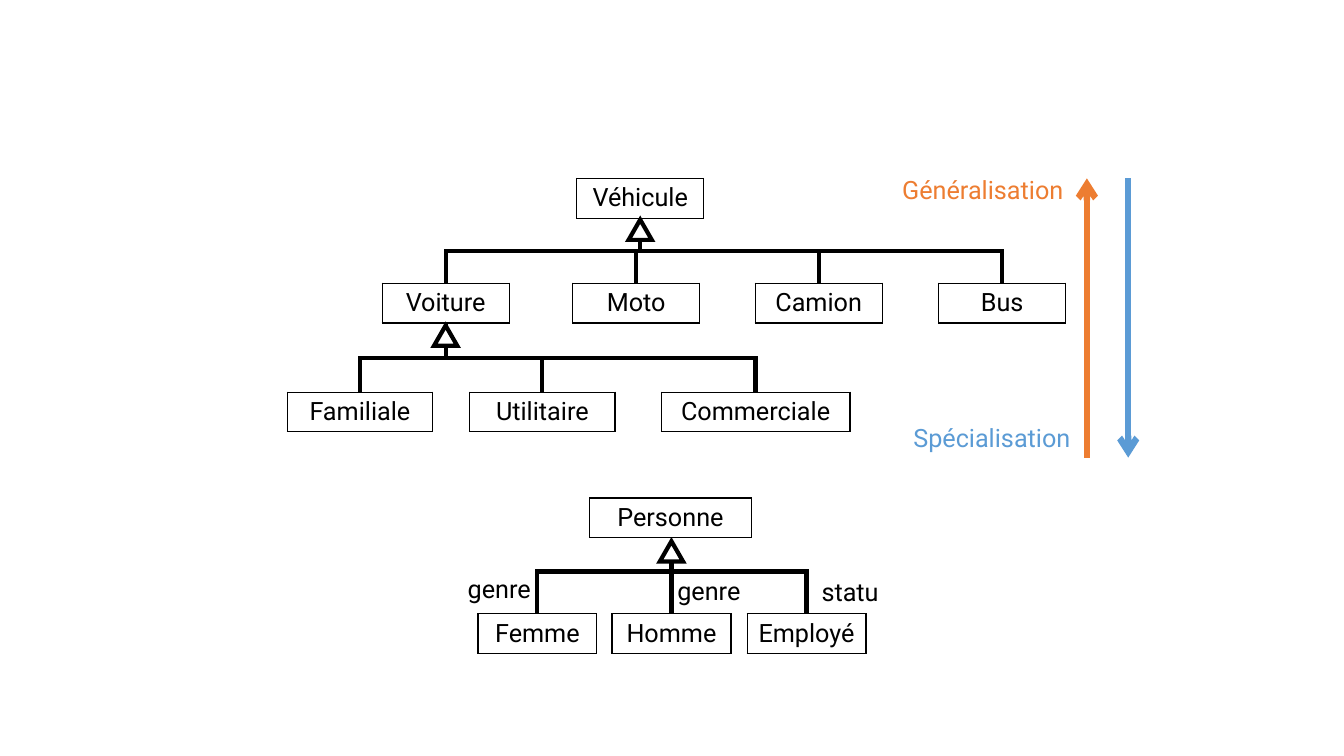
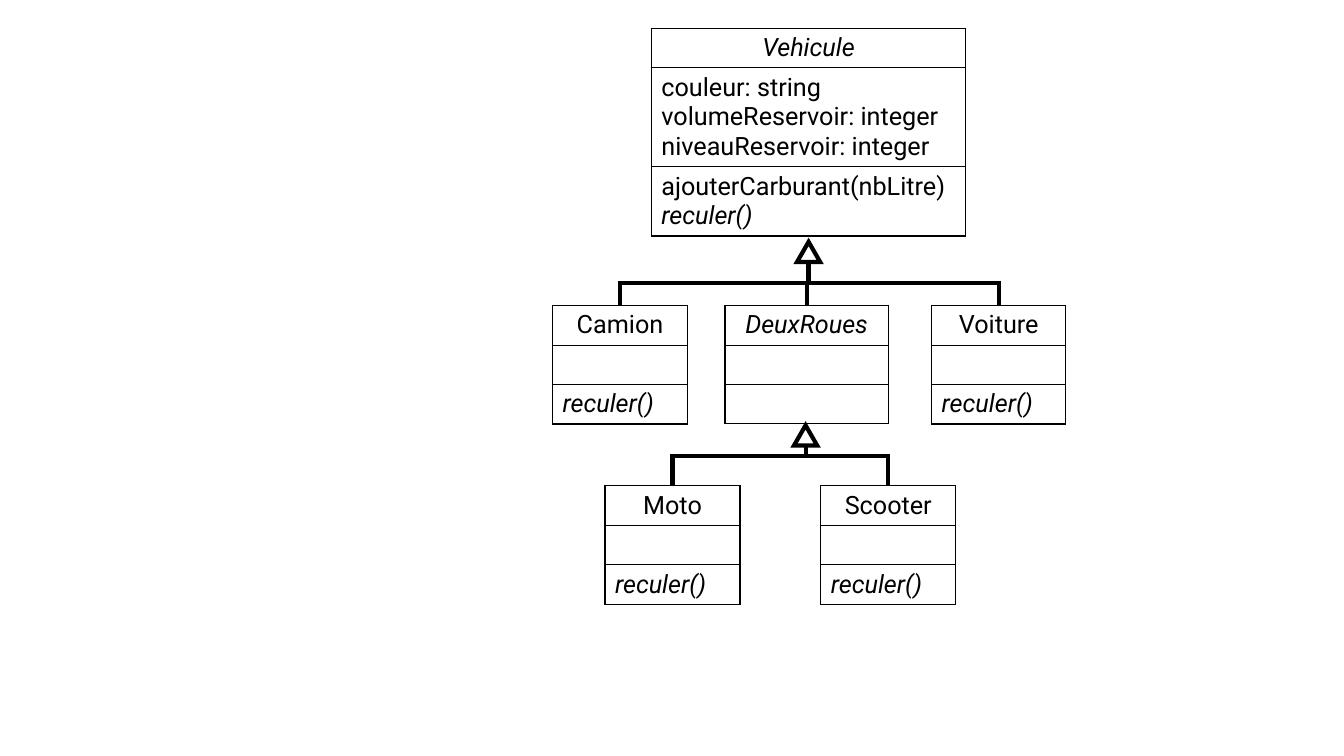
"""Build two slides of UML inheritance diagrams."""
from lxml import etree
from pptx import Presentation
from pptx.dml.color import RGBColor
from pptx.enum.shapes import MSO_CONNECTOR, MSO_SHAPE
from pptx.enum.text import MSO_AUTO_SIZE, PP_ALIGN
from pptx.oxml.ns import qn
from pptx.util import Inches, Pt

ELBOW, STRAIGHT = MSO_CONNECTOR.ELBOW, MSO_CONNECTOR.STRAIGHT
TRIANGLE = MSO_SHAPE.ISOSCELES_TRIANGLE
CENTER, LEFT = PP_ALIGN.CENTER, PP_ALIGN.LEFT
FIT_SHAPE = MSO_AUTO_SIZE.SHAPE_TO_FIT_TEXT
FONT = "Roboto"
BLACK, WHITE, ORANGE, BLUE = "000000", "FFFFFF", "ED7D31", "5B9BD5"
ABSTRACT = {"Vehicule", "DeuxRoues", "reculer()"}
TRIANGLE_WIDTH, TRIANGLE_HEIGHT = 0.23, 0.2


def add_text(paragraph, text, color):
    run = paragraph.add_run()
    run.text = text
    run.font.name = FONT
    run.font.size = Pt(18)
    run.font.italic = text in ABSTRACT
    run.font.color.rgb = RGBColor.from_string(color)


def style_line(shape, color, points):
    shape.line.color.rgb = RGBColor.from_string(color)
    shape.line.width = Pt(points)
    properties = shape._element.spPr
    line = properties.find(qn("a:ln"))
    etree.SubElement(line, qn("a:miter"), lim="800000")
    etree.SubElement(properties, qn("a:effectLst"))
    return line


vehicle = [["Vehicule"],
           ["couleur: string", "volumeReservoir: integer", "niveauReservoir: integer"],
           ["ajouterCarburant(nbLitre)", "reculer()"]]

# Roots: left, top, width, rows. Trees: root x, start, bar, triangle top, child top, children.
diagrams = [
    {"roots": [(5.72, 1.77, 1.26, [["Véhicule"]]), (5.85, 4.94, 1.6, [["Personne"]])],
     "trees": [
         (6.35, 2.17, 2.49, 2.18, 2.81,
          [(3.79, 1.26, [["Voiture"]]), (5.68, 1.26, [["Moto"]]),
           (7.49, 1.26, [["Camion"]]), (9.31, 1.26, [["Bus"]])]),
         (4.42, 3.21, 3.55, 3.23, 3.89,
          [(2.85, 1.44, [["Familiale"]]), (4.66, 1.44, [["Utilitaire"]]),
           (6.56, 1.87, [["Commerciale"]])]),
         (6.66, 5.56, 5.67, 5.37, 6.09,
          [(4.74, 1.18, [["Femme"]]), (6.07, 1.18, [["Homme"]]),
           (7.41, 1.18, [["Employé"]])])],
     "arrows": [(10.78, 4.54, 1.77, ORANGE), (11.19, 1.77, 4.54, BLUE)],
     "labels": [(8.96, 4.14, 1.82, "Spécialisation", BLUE),
                (8.85, 1.68, 1.86, "Généralisation", ORANGE),
                (4.54, 5.64, 0.84, "genre", BLACK), (6.62, 5.66, 0.84, "genre", BLACK),
                (8.05, 5.67, 0.78, "statu", BLACK)]},
    {"roots": [(6.46, 0.28, 3.12, vehicle)],
     "trees": [
         (8.02, 2.59, 2.81, 2.4, 3.03,
          [(5.48, 1.34, [["Camion"], [""], ["reculer()"]]),
           (7.19, 1.62, [["DeuxRoues"], [""], [""]]),
           (9.24, 1.33, [["Voiture"], [""], ["reculer()"]])]),
         (7.99, 4.23, 4.52, 4.22, 4.82,
          [(6, 1.34, [["Moto"], [""], ["reculer()"]]),
           (8.14, 1.34, [["Scooter"], [""], ["reculer()"]])])],
     "arrows": [], "labels": []},
]

presentation = Presentation()
presentation.slide_width, presentation.slide_height = Inches(13.33), Inches(7.5)

for diagram in diagrams:
    slide = presentation.slides.add_slide(presentation.slide_layouts[6])

    classes = list(diagram["roots"])
    for _, _, _, _, child_top, children in diagram["trees"]:
        classes += [(left, child_top, width, rows) for left, width, rows in children]
    for left, top, width, rows in classes:
        heights = [0.1 + 0.29 * len(lines) for lines in rows]
        table = slide.shapes.add_table(len(rows), 1, Inches(left), Inches(top),
                                       Inches(width), Inches(sum(heights))).table
        table.first_row = table.horz_banding = False
        for index, lines in enumerate(rows):
            table.rows[index].height = Inches(heights[index])
            cell = table.cell(index, 0)
            frame = cell.text_frame
            for number, text in enumerate(lines):
                paragraph = frame.add_paragraph() if number else frame.paragraphs[0]
                paragraph.alignment = LEFT if index else CENTER
                add_text(paragraph, text, BLACK)
            borders = cell._tc.get_or_add_tcPr()
            for side in ("a:lnL", "a:lnR", "a:lnT", "a:lnB"):
                border = etree.SubElement(borders, qn(side), w=str(Pt(1)))
                fill = etree.SubElement(border, qn("a:solidFill"))
                etree.SubElement(fill, qn("a:srgbClr"), val=BLACK)
            cell.fill.background()

    for root_x, start, bar, triangle_top, child_top, children in diagram["trees"]:
        drop = child_top - start
        middle_y = start + drop / 2
        for left, width, _ in children:
            shift = left + width / 2 - root_x
            middle_x = root_x + shift / 2
            half_run = drop / 2 if shift > 0 else -drop / 2
            half_rise = abs(shift) / 2
            branch = slide.shapes.add_connector(
                ELBOW, Inches(middle_x + half_run), Inches(middle_y - half_rise),
                Inches(middle_x - half_run), Inches(middle_y + half_rise))
            style_line(branch, BLACK, 3)
            properties = branch._element.spPr
            properties.find(qn("a:xfrm")).set("rot", str((270 if shift > 0 else 90) * 60000))
            guides = properties.find(qn("a:prstGeom")).find(qn("a:avLst"))
            ratio = round((bar - start) / drop * 100000)
            etree.SubElement(guides, qn("a:gd"), name="adj1", fmla=f"val {ratio}")
        triangle = slide.shapes.add_shape(
            TRIANGLE, Inches(root_x - TRIANGLE_WIDTH / 2), Inches(triangle_top),
            Inches(TRIANGLE_WIDTH), Inches(TRIANGLE_HEIGHT))
        triangle.fill.solid()
        triangle.fill.fore_color.rgb = RGBColor.from_string(WHITE)
        style_line(triangle, BLACK, 3)

    for x, begin, end, color in diagram["arrows"]:
        arrow = slide.shapes.add_connector(STRAIGHT, Inches(x), Inches(begin),
                                           Inches(x), Inches(end))
        etree.SubElement(style_line(arrow, color, 4.5), qn("a:tailEnd"), type="arrow")

    for left, top, width, text, color in diagram["labels"]:
        frame = slide.shapes.add_textbox(Inches(left), Inches(top),
                                         Inches(width), Inches(0.4)).text_frame
        frame.word_wrap = False
        frame.auto_size = FIT_SHAPE
        add_text(frame.paragraphs[0], text, color)

presentation.save("out.pptx")
